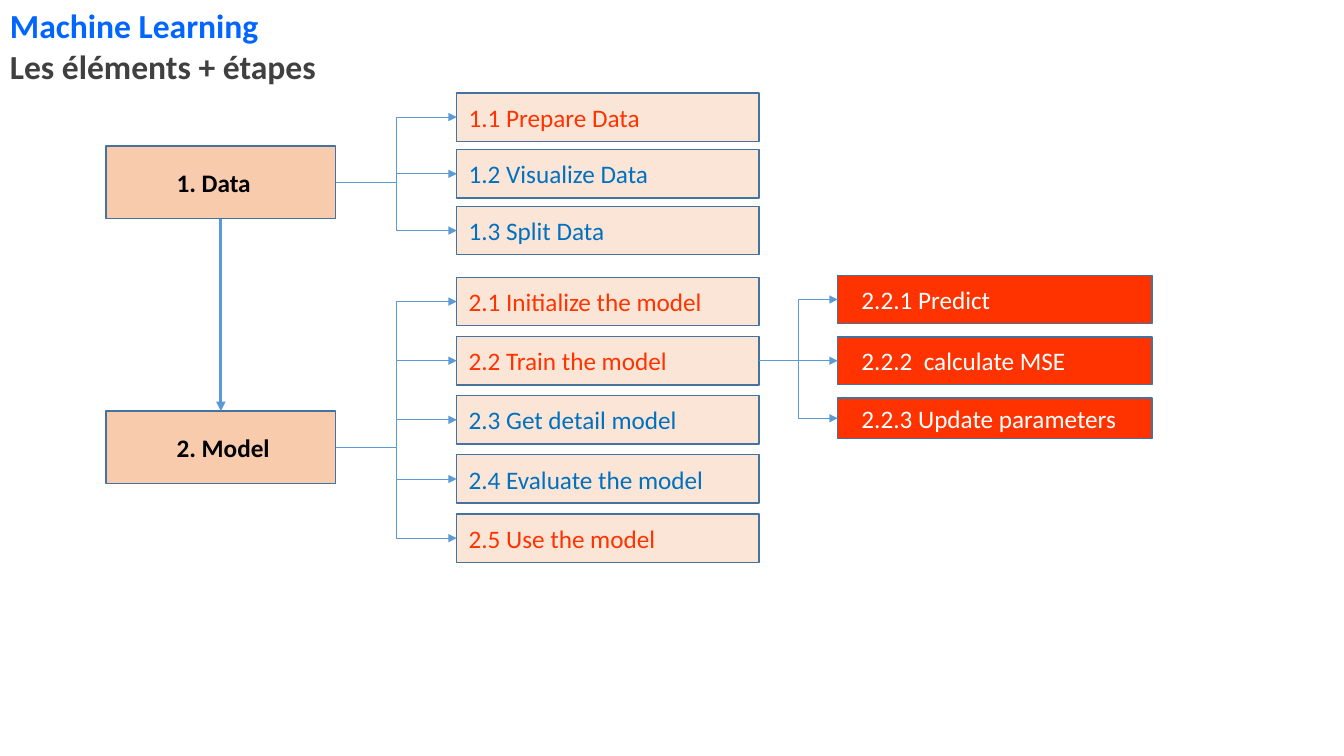
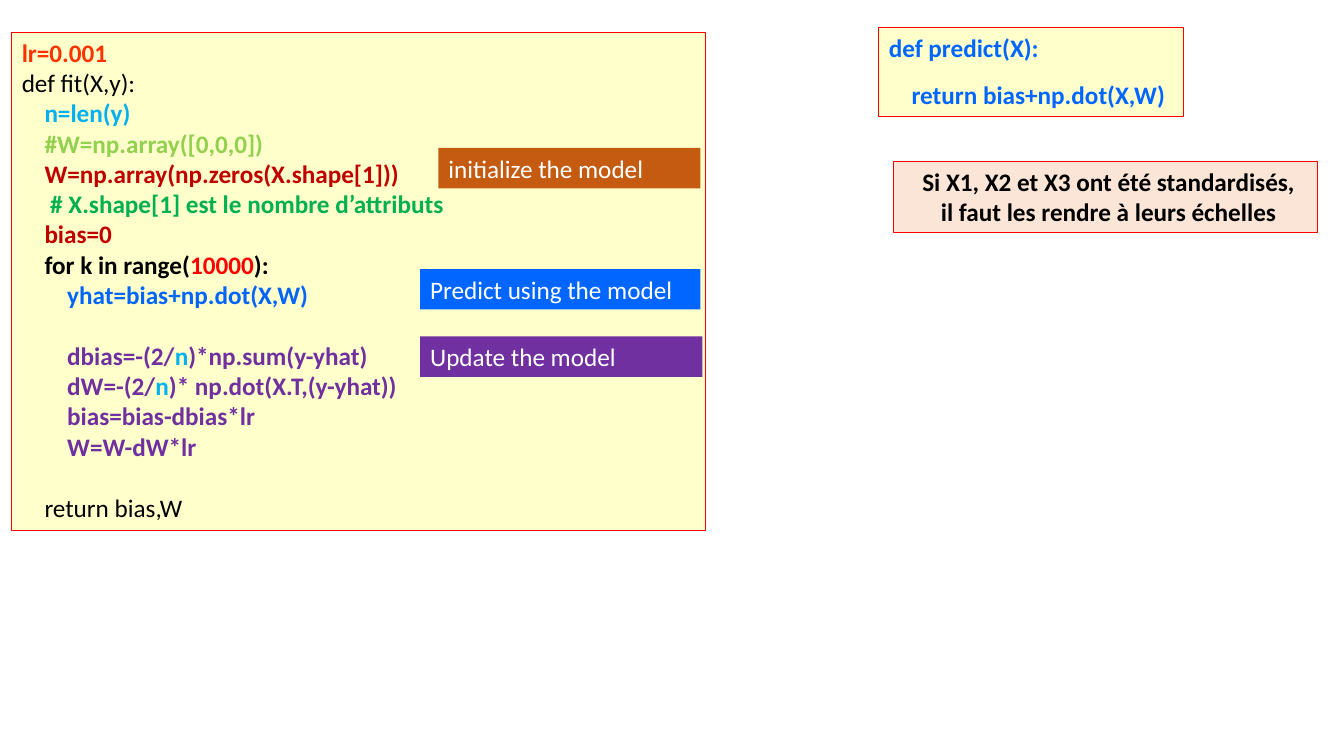
from pptx import Presentation
from pptx.dml.color import RGBColor
from pptx.enum import shapes, text
from pptx.oxml.ns import qn
from pptx.util import Cm, Pt
from lxml import etree

FONT = "Calibri"
BLACK = RGBColor(0x00, 0x00, 0x00)
WHITE = RGBColor(0xFF, 0xFF, 0xFF)
GREY = RGBColor(0x40, 0x40, 0x40)
PEACH = RGBColor(0xF8, 0xCB, 0xAD)
PALE = RGBColor(0xFB, 0xE5, 0xD6)
CREAM = RGBColor(0xFF, 0xFF, 0xCC)
SCARLET = RGBColor(0xFF, 0x33, 0x00)
RED = RGBColor(0xFF, 0x00, 0x00)
WINE = RGBColor(0xC0, 0x00, 0x00)
RUST = RGBColor(0xC5, 0x5A, 0x11)
BLUE = RGBColor(0x00, 0x66, 0xFF)
AZURE = RGBColor(0x00, 0x65, 0xFA)
NAVY = RGBColor(0x00, 0x70, 0xC0)
CYAN = RGBColor(0x00, 0xB0, 0xF0)
LIME = RGBColor(0x92, 0xD0, 0x50)
GREEN = RGBColor(0x00, 0xB0, 0x50)
PURPLE = RGBColor(0x70, 0x30, 0xA0)
EDGE = RGBColor(0x43, 0x73, 0x9E)
ARROW = RGBColor(0x5B, 0x9B, 0xD5)

TITLE = [("Machine Learning", BLUE), ("Les éléments + étapes", GREY)]

# Each stage: label, top, top of its first step, step pitch, steps
STAGES = [
    ("1. Data", 3.68, 2.34, 1.43, [
        ("1.1 Prepare Data", SCARLET),
        ("1.2 Visualize Data", NAVY),
        ("1.3 Split Data", NAVY)]),
    ("2. Model", 10.36, 6.99, 1.49, [
        ("2.1 Initialize the model", SCARLET),
        ("2.2 Train the model", SCARLET),
        ("2.3 Get detail model", NAVY),
        ("2.4 Evaluate the model", NAVY),
        ("2.5 Use the model", SCARLET)]),
]
TRAIN = "2.2 Train the model"
TASKS = [("2.2.1 Predict", 1.2), ("2.2.2  calculate MSE", 1.2),
         ("2.2.3 Update parameters", 1.02)]
TASK_TOP, TASK_STEP = 6.95, 1.54

# Each code line: space before in points, then runs of text, colour and bold
CODE = [
    (0, [("lr=0.001", SCARLET, True)]),
    (0, [("def fit(X,y):", BLACK, False)]),
    (0, [("    n=len(y)", CYAN, True)]),
    (0, [("    #W=np.array([0,0,0])", LIME, True)]),
    (0, [("    W=np.array(np.zeros(X.shape[1]))", WINE, True)]),
    (0, [("     # X.shape[1] est le nombre d’attributs", GREEN, True)]),
    (0, [("    bias=0", WINE, True)]),
    (0, [("    for k in range(", BLACK, True), ("10000", RED, True),
         ("):", BLACK, True)]),
    (0, [("        yhat=bias+np.dot(X,W)", AZURE, True)]),
    (22, [("        dbias=-(2/", PURPLE, True), ("n", CYAN, True),
          (")*np.sum(y-yhat)", PURPLE, True)]),
    (0, [("        dW=-(2/", PURPLE, True), ("n", CYAN, True),
         (")* np.dot(X.T,(y-yhat))", PURPLE, True)]),
    (0, [("        bias=bias-dbias*lr", PURPLE, True)]),
    (0, [("        W=W-dW*lr", PURPLE, True)]),
    (22, [("    return bias,W", BLACK, False)]),
]
PREDICT = [
    (0, [("def predict(X):", BLUE, True)]),
    (12, [("    return bias+np.dot(X,W)", BLUE, True)]),
]
NOTE = ["Si X1, X2 et X3 ont été standardisés,",
        "il faut les rendre à leurs échelles"]
LABELS = [
    ("initialize the model", RUST, (11.05, 3.73, 6.6, 1.02)),
    ("Predict using the model", BLUE, (10.59, 6.78, 7.06, 1.02)),
    ("Update the model", PURPLE, (10.59, 8.48, 7.11, 1.02)),
]


def plain(words, ink, bold=False):
    """One paragraph made of a single run."""
    return 0, [(words, ink, bold)]


def box(slide, place, paras, fill=None, line=None, width=1, size=18,
        inset=0.25, anchor=text.MSO_ANCHOR.MIDDLE, align=text.PP_ALIGN.LEFT):
    """Rectangle with text; place is left, top, width and height in cm."""
    rect = slide.shapes.add_shape(
        shapes.MSO_SHAPE.RECTANGLE, *[Cm(n) for n in place])
    rect.shadow.inherit = False
    for part, ink in ((rect.fill, fill), (rect.line.fill, line)):
        if ink is None:
            part.background()
        else:
            part.solid()
            part.fore_color.rgb = ink
    if line is not None:
        rect.line.width = Pt(width)
    frame = rect.text_frame
    form = dict(word_wrap=True, vertical_anchor=anchor, margin_left=Cm(inset),
                margin_right=Cm(0.1), margin_top=Cm(0.13),
                margin_bottom=Cm(0.13))
    for key, val in form.items():
        setattr(frame, key, val)
    for i, (gap, runs) in enumerate(paras):
        para = frame.add_paragraph() if i else frame.paragraphs[0]
        para.alignment = align
        if gap:
            para.space_before = Pt(gap)
        for words, ink, bold in runs:
            run = para.add_run()
            run.text = words
            run.font.color.rgb = ink
            for key, val in dict(name=FONT, size=Pt(size), bold=bold).items():
                setattr(run.font, key, val)
    return rect


def link(slide, start, end, sites=(3, 1), width=0.5,
         kind=shapes.MSO_CONNECTOR.ELBOW):
    """Arrow between two boxes; sites 0 to 3 are top, left, bottom, right."""
    wire = slide.shapes.add_connector(kind, 0, 0, 0, 0)
    wire.begin_connect(start, sites[0])
    wire.end_connect(end, sites[1])
    wire.line.color.rgb = ARROW
    wire.line.width = Pt(width)
    props = wire.line._get_or_add_ln()
    etree.SubElement(props, qn("a:tailEnd"), type="triangle")
    etree.SubElement(wire._element.spPr, qn("a:effectLst"))


def draw_steps(slide):
    mains, steps = [], {}
    for name, top, first, pitch, items in STAGES:
        main = box(slide, (2.67, top, 5.79, 1.83), [plain(name, BLACK, True)],
                   PEACH, EDGE, inset=1.78)
        mains.append(main)
        for i, (label, ink) in enumerate(items):
            steps[label] = box(
                slide, (11.51, first + i * pitch, 7.62, 1.22),
                [plain(label, ink)], PALE, EDGE, inset=0.3)
            link(slide, main, steps[label])
    link(slide, *mains, sites=(2, 0), width=2.25,
         kind=shapes.MSO_CONNECTOR.STRAIGHT)
    for i, (label, high) in enumerate(TASKS):
        task = box(slide, (21.11, TASK_TOP + i * TASK_STEP, 7.92, high),
                   [plain(label, WHITE)], SCARLET, EDGE, inset=0.6)
        link(slide, steps[TRAIN], task)
    box(slide, (0, 0, 13.72, 2.31), [plain(*row, True) for row in TITLE],
        size=24, anchor=text.MSO_ANCHOR.TOP)


def draw_code(slide):
    frame = dict(line=RED, width=0.75)
    for place, lines in (((0.3, 0.81, 17.48, 12.57), CODE),
                         ((22.15, 0.69, 7.67, 2.24), PREDICT)):
        box(slide, place, lines, CREAM, anchor=text.MSO_ANCHOR.TOP, **frame)
    for label, fill, place in LABELS:
        box(slide, place, [plain(label, WHITE)], fill)
    box(slide, (22.53, 4.06, 10.67, 1.8),
        [plain(row, BLACK, True) for row in NOTE], PALE,
        align=text.PP_ALIGN.CENTER, **frame)


def main():
    deck = Presentation()
    deck.slide_width, deck.slide_height = Cm(33.87), Cm(19.05)
    for draw in (draw_steps, draw_code):
        draw(deck.slides.add_slide(deck.slide_layouts[6]))
    deck.save("out.pptx")


if __name__ == "__main__":
    main()
